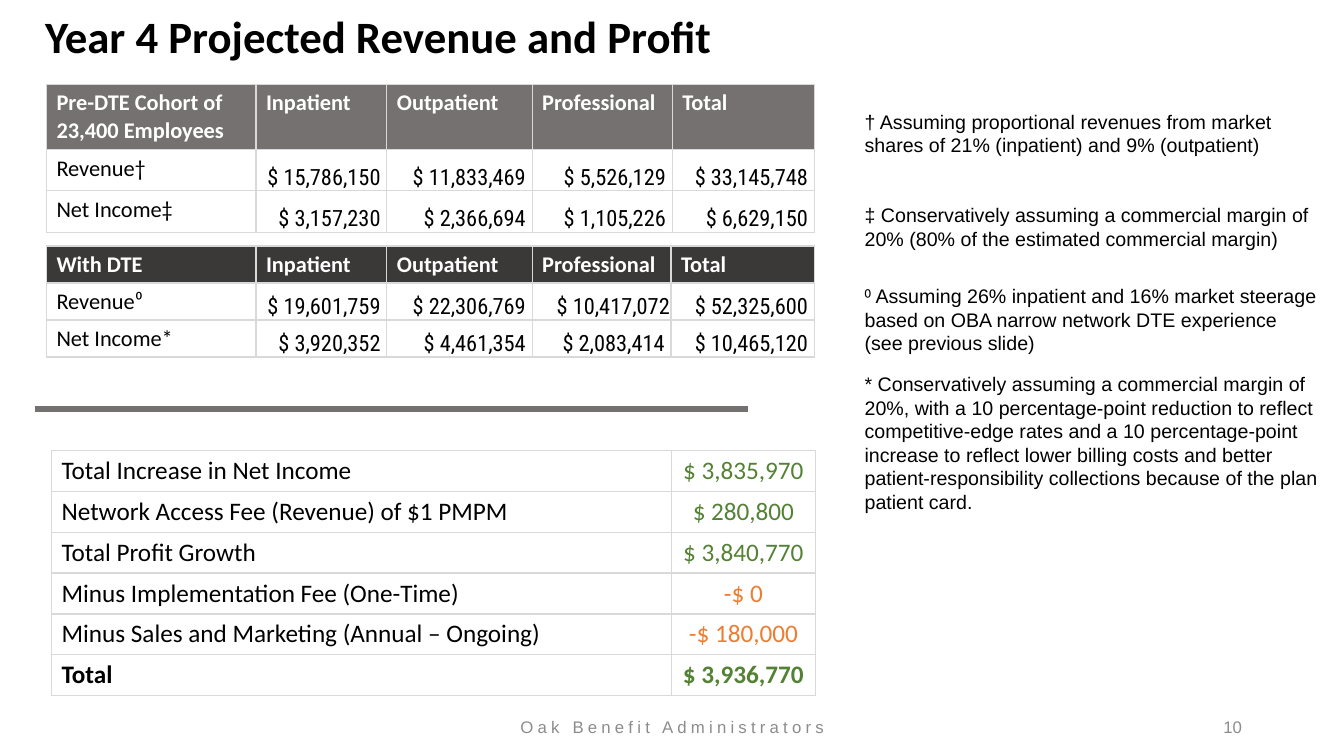
from lxml.etree import SubElement as Sub
from pptx import Presentation
from pptx.dml.color import RGBColor
from pptx.enum.shapes import MSO_CONNECTOR as Conn
from pptx.enum.text import MSO_ANCHOR as Anchor, PP_ALIGN as Align
from pptx.oxml.ns import qn
from pptx.util import Cm, Pt

BLACK, WHITE, GRAY, DARK = "000000", "FFFFFF", "767171", "3B3838"
GREEN, ORANGE, RULE, FAINT = "548235", "ED7D31", "D9D9D9", "8C8C8C"
SANS, BODY, NUM = "Calibri", "Arial", "Roboto Condensed"


def color(code):
    return RGBColor.from_string(code)


class Page:
    """Holds the slide and its shared style."""

    def __init__(self, slide):
        self.shapes = slide.shapes

    def style(self, para, size, face, tint=BLACK, bold=False, align=Align.LEFT):
        font = para.font
        font.size, font.name, font.bold = Pt(size), face, bold
        font.color.rgb = color(tint)
        para.alignment = align

    def text(self, box, words, size, face, wrap=True, mid=False, gap=0, **look):
        frame = self.shapes.add_textbox(*map(Cm, box)).text_frame
        frame.word_wrap = wrap
        frame.vertical_anchor = Anchor.MIDDLE if mid else Anchor.TOP
        para = frame.paragraphs[0]
        run = para.add_run()
        run.text = words
        if gap:
            run.font._element.set("spc", str(gap * 100))
        self.style(para, size, face, **look)

    def line(self, left, right, top, tint, width):
        rule = self.shapes.add_connector(
            Conn.STRAIGHT, Cm(left), Cm(top), Cm(right), Cm(top))
        rule.line.color.rgb = color(tint)
        rule.line.width = Pt(width)
        Sub(rule._element.spPr, qn("a:effectLst"))

    def grid(self, left, top, cols, rows):
        size = len(rows), len(cols)
        table = self.shapes.add_table(
            *size, Cm(left), Cm(top), Cm(sum(cols)), Cm(sum(rows))).table
        table.first_row = table.horz_banding = False
        for col, width in zip(table.columns, cols):
            col.width = Cm(width)
        for row, height in zip(table.rows, rows):
            row.height = Cm(height)
        return table

    def cell(self, cell, words, size, face, back=None, **look):
        props = cell._tc.get_or_add_tcPr()
        for side in ("lnL", "lnR", "lnT", "lnB"):
            edge = Sub(props, qn("a:" + side), w=str(Pt(1)))
            fill = Sub(edge, qn("a:solidFill"))
            Sub(fill, qn("a:srgbClr"), val=RULE)
        if back:
            cell.fill.solid()
            cell.fill.fore_color.rgb = color(back)
        else:
            cell.fill.background()
        cell.text = words
        self.style(cell.text_frame.paragraphs[0], size, face, **look)

    def money(self, cell, words):
        self.cell(cell, words, 16, NUM, align=Align.RIGHT)
        cell.vertical_anchor = Anchor.BOTTOM
        cell.margin_left = cell.margin_top = Cm(0.03)
        cell.margin_right, cell.margin_bottom = Cm(0.16), 0

    def plan(self, top, cols, rows, back, data):
        table = self.grid(1.17, top, cols, rows)
        for r, line in enumerate(data):
            for c, words in enumerate(line):
                cell = table.cell(r, c)
                if r == 0:
                    self.cell(cell, words, 16, SANS, back, tint=WHITE, bold=True)
                elif c == 0:
                    self.cell(cell, words, 16, SANS)
                else:
                    self.money(cell, words)
        return table

    def sums(self, left, top, cols, high, data):
        table = self.grid(left, top, cols, [high] * len(data))
        for r, (label, value) in enumerate(data):
            bold = label == "Total"
            tint = ORANGE if value.startswith("-") else GREEN
            self.cell(table.cell(r, 0), label, 18, SANS, bold=bold)
            self.cell(table.cell(r, 1), value, 18, SANS,
                      tint=tint, bold=bold, align=Align.CENTER)


HEADS = ["Inpatient", "Outpatient", "Professional", "Total"]
BEFORE = [
    ["Pre-DTE Cohort of 23,400 Employees", *HEADS],
    ["Revenue†", "$ 15,786,150", "$ 11,833,469", "$ 5,526,129", "$ 33,145,748"],
    ["Net Income‡", "$ 3,157,230", "$ 2,366,694", "$ 1,105,226", "$ 6,629,150"],
]
AFTER = [
    ["With DTE", *HEADS],
    ["Revenue⁰", "$ 19,601,759", "$ 22,306,769", "$ 10,417,072", "$ 52,325,600"],
    ["Net Income*", "$ 3,920,352", "$ 4,461,354", "$ 2,083,414", "$ 10,465,120"],
]
PROFIT = [
    ("Total Increase in Net Income", "$ 3,835,970"),
    ("Network Access Fee (Revenue) of $1 PMPM", "$ 280,800"),
    ("Total Profit Growth", "$ 3,840,770"),
    ("Minus Implementation Fee (One-Time)", "-$ 0"),
    ("Minus Sales and Marketing (Annual – Ongoing)", "-$ 180,000"),
    ("Total", "$ 3,936,770"),
]
NOTES = [
    (2.64, 2.06, "† Assuming proportional revenues from market shares of 21% "
                 "(inpatient) and 9% (outpatient)"),
    (5, 1.45, "‡ Conservatively assuming a commercial margin of 20% (80% of "
              "the estimated commercial margin)"),
    (7.04, 2.06, "⁰ Assuming 26% inpatient and 16% market steerage based on "
                 "OBA narrow network DTE experience (see previous slide)"),
    (9.25, 3.84, "* Conservatively assuming a commercial margin of 20%, with a "
                 "10 percentage-point reduction to reflect competitive-edge "
                 "rates and a 10 percentage-point increase to reflect lower "
                 "billing costs and better patient-responsibility collections "
                 "because of the plan patient card."),
]


def main():
    deck = Presentation()
    deck.slide_width, deck.slide_height = Cm(33.87), Cm(19.05)
    page = Page(deck.slides.add_slide(deck.slide_layouts[6]))

    # Title
    page.text((0.89, 0.1, 17.48, 1.63), "Year 4 Projected Revenue and Profit",
              32, SANS, wrap=False, bold=True)

    # Revenue before and with the plan
    page.plan(2.13, [5.28, 3.3, 3.66, 3.53, 3.58], [1.64, 1.04, 1.04], GRAY, BEFORE)
    after = page.plan(6.2, [5.28, 3.3, 3.66, 3.5, 3.61], [0.93] * 3, DARK, AFTER)
    after.cell(1, 3).margin_right = Cm(0.03)

    # Profit summary
    page.line(0.89, 18.85, 10.31, GRAY, 4.5)
    page.sums(1.3, 11.35, [15.62, 3.63], 1.03, PROFIT)

    # Notes
    for top, high, words in NOTES:
        page.text((21.54, top, 11.99, high), words, 14, BODY)

    # Footer
    page.text((11.23, 17.98, 11.43, 0.69), "Oak Benefit Administrators", 12, BODY,
              mid=True, gap=3, tint=FAINT, align=Align.CENTER)
    page.text((23.93, 17.98, 7.62, 0.69), "10", 12, BODY,
              mid=True, tint=FAINT, align=Align.RIGHT)

    deck.save("out.pptx")


if __name__ == "__main__":
    main()
